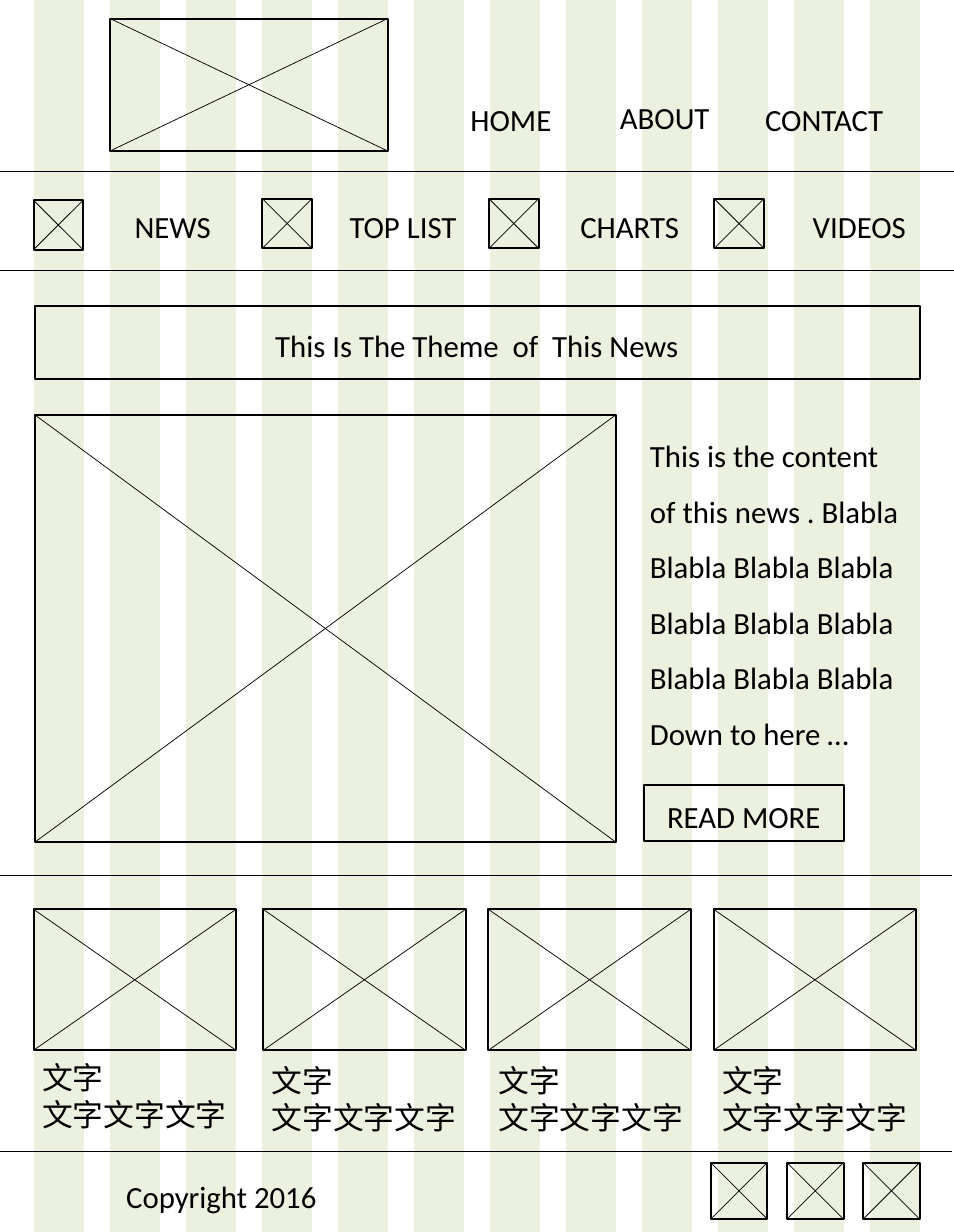
from pptx import Presentation
from pptx.dml.color import RGBColor
from pptx.enum.shapes import MSO_CONNECTOR, MSO_SHAPE
from pptx.enum.text import MSO_AUTO_SIZE, PP_ALIGN
from pptx.util import Inches, Pt
from lxml import etree

BOX, RECT = MSO_SHAPE.FLOWCHART_PROCESS, MSO_SHAPE.RECTANGLE
LINE = MSO_CONNECTOR.STRAIGHT
LEFT, MID = PP_ALIGN.LEFT, PP_ALIGN.CENTER
GROW = MSO_AUTO_SIZE.SHAPE_TO_FIT_TEXT
DRAW = "http://schemas.openxmlformats.org/drawingml/2006/main"

THEME = {
    "ink": RGBColor(0, 0, 0),
    "band": RGBColor(0xEB, 0xF1, 0xDE),
    "font": "Calibri",
    "size": Pt(31),
    "thin": Pt(0.75),
    "bold": Pt(2),
}
FONT = {"name": THEME["font"], "size": THEME["size"]}
FRAME = {"word_wrap": True, "auto_size": GROW}

# Content: lengths in inches
WIDE, HIGH = 13.34, 17.22
BANDS = {"count": 12, "first": 0.48, "last": 12.17, "width": 0.69}
RULES = [(0, 2.39), (0, 3.78), (-0.03, 12.23), (-0.03, 16.09)]  # left, top
MENU = [("HOME", 6.48, 1.36, 1.41), ("ABOUT", 8.57, 1.33, 1.72),
        ("CONTACT", 10.6, 1.36, 2.05)]
TABS = [("NEWS", 0.47, 2.8, 1.54), ("TOP LIST", 3.67, 2.78, 4.76),
        ("CHARTS", 6.84, 2.78, 7.93), ("VIDEOS", 9.99, 2.78, 11.14)]
CARDS = [(0.47, 0.49, 14.75), (3.68, 3.7, 14.79),
         (6.83, 6.87, 14.79), (9.98, 10, 14.79)]  # image left, text left, top
LABEL = ["文字", "文字文字文字"]
ICONS = {"count": 3, "first": 9.94, "step": 1.065, "top": 16.25, "side": 0.79}
PHOTOS = [(1.54, 0.26, 3.88, 1.85), (0.49, 5.8, 8.12, 5.97)]  # logo, news
FRAMES = [(0.49, 4.28, 12.37, 1.02), (9, 10.97, 2.8, 0.79)]  # theme, button
STORY = ["This is the content of this news . " + " ".join(["Blabla"] * 10),
         "Down to here …"]
NOTES = [
    (["This Is The Theme  of  This News"], (1.16, 4.52, 11.01, 0.62), MID, 1),
    (STORY, (8.99, 5.8, 3.81, 4.8), LEFT, 1.5),
    (["READ MORE"], (9, 11.1, 2.8, 0.62), MID, 1),
    (["Copyright 2016"], (0.43, 16.41, 5.33, 0.62), MID, 1),
]

deck = Presentation()
deck.slide_width, deck.slide_height = Inches(WIDE), Inches(HIGH)
page = deck.slides.add_slide(deck.slide_layouts[6]).shapes


def add_box(home, kind, area, fill=None):
    box = home.add_shape(kind, *map(Inches, area))
    box.shadow.inherit = False
    if fill is None:
        box.fill.background()
        box.line.color.rgb = THEME["ink"]
        box.line.width = THEME["bold"]
    else:
        box.fill.solid()
        box.fill.fore_color.rgb = fill
        box.line.fill.background()


def add_line(home, *ends):
    line = home.add_connector(LINE, *map(Inches, ends))
    line.line.color.rgb = THEME["ink"]
    line.line.width = THEME["thin"]
    etree.SubElement(line._element.spPr, "{%s}effectLst" % DRAW)


def add_photo(left, top, width, height):
    group = page.add_group_shape().shapes
    right, base = left + width, top + height
    add_box(group, BOX, (left, top, width, height))
    add_line(group, left, top, right, base)
    add_line(group, right, top, left, base)


def add_text(lines, area, align=LEFT, space=1):
    frame = page.add_textbox(*map(Inches, area)).text_frame
    for key, value in FRAME.items():
        setattr(frame, key, value)
    for i, line in enumerate(lines):
        para = frame.add_paragraph() if i else frame.paragraphs[0]
        para.alignment, para.line_spacing = align, space
        run = para.add_run()
        run.text = line
        for key, value in FONT.items():
            setattr(run.font, key, value)
        run.font.color.rgb = THEME["ink"]


# Column bands
bands = page.add_group_shape().shapes
step = (BANDS["last"] - BANDS["first"]) / (BANDS["count"] - 1)
for i in range(BANDS["count"]):
    area = (BANDS["first"] + i * step, 0, BANDS["width"], HIGH)
    add_box(bands, BOX, area, THEME["band"])

# Rules, image blocks and outlines
for left, top in RULES:
    add_line(page, left, top, left + WIDE, top)
for area in PHOTOS:
    add_photo(*area)
for area in FRAMES:
    add_box(page, RECT, area)

# Menu and tabs
for word, left, top, width in MENU:
    add_text([word], (left, top, width, 0.62))
for word, left, top, start in TABS:
    add_photo(left, top, 0.69, 0.69)
    add_text([word], (start, 2.86, 1.75, 0.62), MID)

# Theme, story, button and copyright
for note in NOTES:
    add_text(*note)

# Cards
for left, start, top in CARDS:
    add_photo(left, 12.71, 2.83, 1.97)
    add_text(LABEL, (start, top, 2.81, 1.14))

# Footer icons
for i in range(ICONS["count"]):
    left = ICONS["first"] + i * ICONS["step"]
    add_photo(left, ICONS["top"], ICONS["side"], ICONS["side"])

deck.save("out.pptx")
